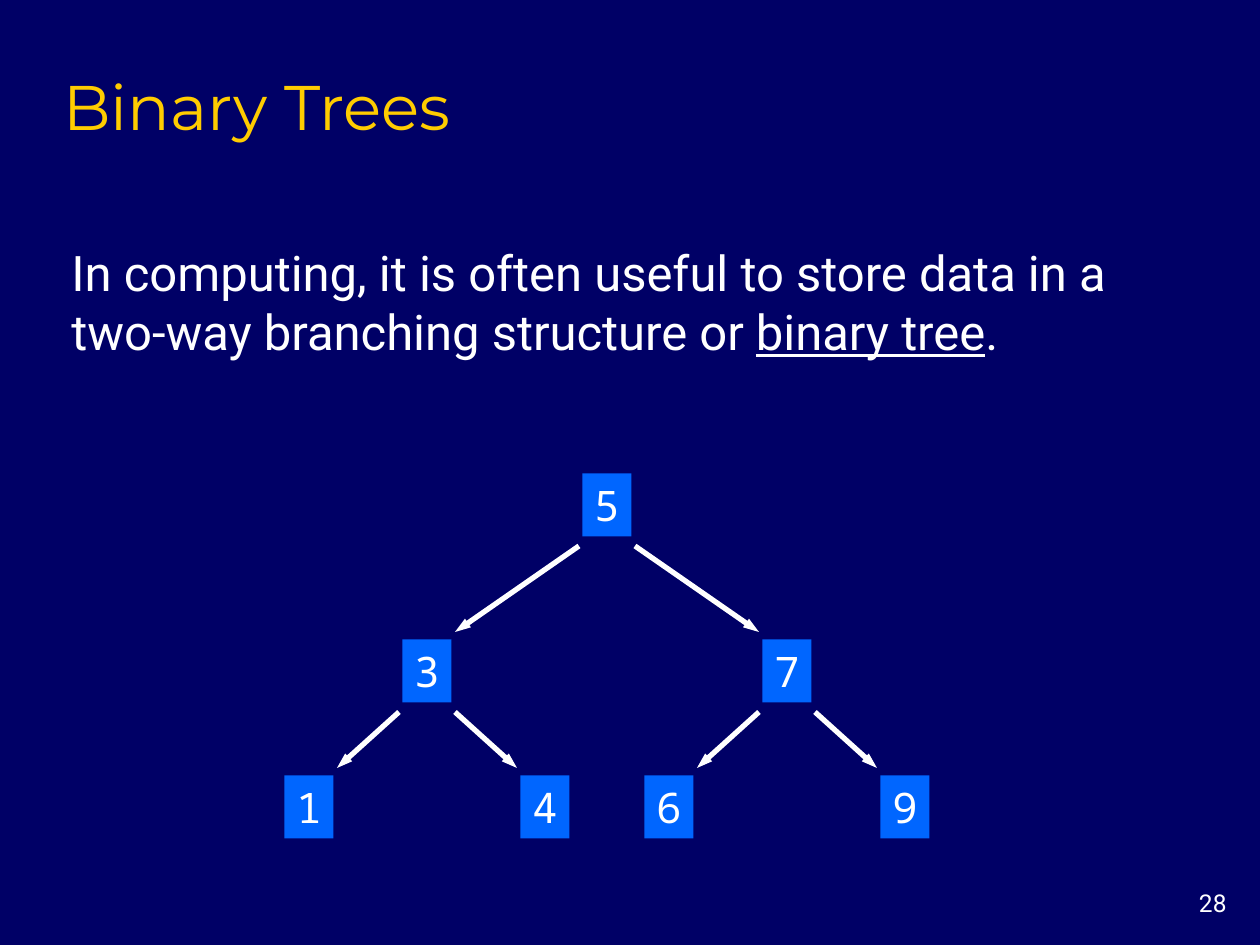
import pptx
import pptx.util
import pptx.dml.color
import pptx.enum.shapes
import pptx.enum.text
import lxml.etree
import pptx.oxml.ns

ALIGN = pptx.enum.text.PP_ALIGN
ANCHOR = pptx.enum.text.MSO_ANCHOR
WHITE, GOLD, BLUE, NAVY = "FFFFFF", "FFCC00", "0066FF", "000066"
NODE_W, NODE_H = 49, 63
# Horizontal and vertical steps from a node to its children, by level
STEPS = [(180, 166), (118, 136)]
TREE = ("5", ("3", ("1",), ("4",)), ("7", ("6",), ("9",)))


def px(n):
    return pptx.util.Emu(round(n * 914400 / 126))


def color(code):
    return pptx.dml.color.RGBColor.from_string(code)


def place(shape, box):
    for name, n in zip(("left", "top", "width", "height"), box):
        setattr(shape, name, px(n))


def write(shape, runs, face, size, tint, align, frame):
    """Fill a shape with one paragraph of (text, format) runs."""
    text = shape.text_frame
    for name, value in frame.items():
        setattr(text, name, value)
    para = text.paragraphs[0]
    para.alignment = align
    for words, style in runs:
        run = para.add_run()
        run.text = words
        run.font.color.rgb = color(tint)
        looks = {"name": face, "size": pptx.util.Pt(size), **style}
        for name, value in looks.items():
            setattr(run.font, name, value)


def title(slide, box):
    shape = slide.shapes.title
    place(shape, box)
    frame = {"vertical_anchor": ANCHOR.BOTTOM, "word_wrap": True,
             "margin_left": px(10), "margin_bottom": px(4)}
    write(shape, [("Binary Trees", {})], "Montserrat", 36, GOLD,
          ALIGN.LEFT, frame)


def body(slide, box):
    shape = slide.shapes.add_textbox(*map(px, box))
    runs = [
        ("In computing, it is often useful to store data in a "
         "two-way branching structure or ", {}),
        ("binary tree", {"underline": True}),
        (".", {}),
    ]
    write(shape, runs, "Roboto", 28, WHITE, ALIGN.LEFT,
          {"vertical_anchor": ANCHOR.MIDDLE, "word_wrap": True})


def number(slide, box):
    shape = slide.shapes.add_textbox(*map(px, box))
    write(shape, [("28", {})], "Roboto", 14, WHITE, ALIGN.RIGHT,
          {"word_wrap": True})


def node(slide, label, x, y):
    box = (x - NODE_W / 2, y - NODE_H / 2, NODE_W, NODE_H)
    shape = slide.shapes.add_shape(
        pptx.enum.shapes.MSO_SHAPE.RECTANGLE, *map(px, box))
    shape.shadow.inherit = False
    shape.fill.solid()
    shape.fill.fore_color.rgb = color(BLUE)
    shape.line.fill.background()
    write(shape, [(label, {})], "Noto Sans Mono", 24, WHITE, ALIGN.CENTER,
          {"vertical_anchor": ANCHOR.MIDDLE, "word_wrap": False})


def arrow(slide, *ends):
    link = slide.shapes.add_connector(
        pptx.enum.shapes.MSO_CONNECTOR.STRAIGHT, *map(px, ends))
    link.line.color.rgb = color(WHITE)
    link.line.width = pptx.util.Pt(3)
    qn = pptx.oxml.ns.qn
    lxml.etree.SubElement(link.line._get_or_add_ln(), qn("a:tailEnd"),
                          type="triangle", w="sm", len="med")
    lxml.etree.SubElement(link._element.spPr, qn("a:effectLst"))


def tree(slide, branch, x, y, level=0):
    """Draw a node centred at x, y, then its children below it."""
    label, *kids = branch
    node(slide, label, x, y)
    for side, kid in zip((-1, 1), kids):
        dx, dy = STEPS[level]
        kx, ky = x + side * dx, y + dy
        arrow(slide, x + side * 28, y + 41, kx - side * 28, ky - 39)
        tree(slide, kid, kx, ky, level + 1)


def main():
    deck = pptx.Presentation()
    deck.slide_width, deck.slide_height = px(1260), px(945)
    slide = deck.slides.add_slide(deck.slide_layouts[5])
    slide.background.fill.solid()
    slide.background.fill.fore_color.rgb = color(NAVY)
    title(slide, (53, 53, 1071, 94))
    body(slide, (59, 236, 1129, 131))
    tree(slide, TREE, 607, 505)
    number(slide, (1155, 882, 84, 42))
    deck.save("out.pptx")


if __name__ == "__main__":
    main()
